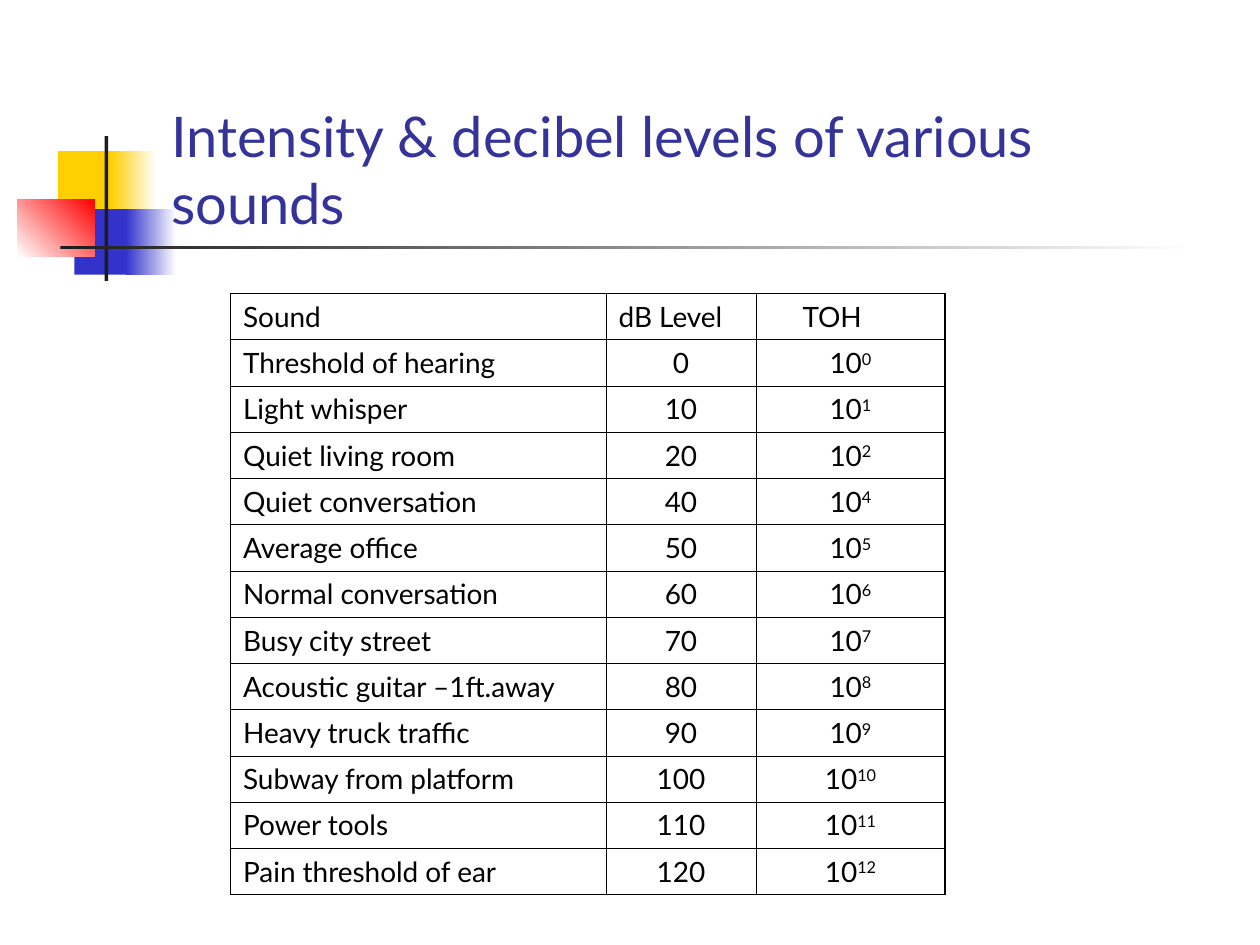
from pptx import Presentation
from pptx.dml.color import RGBColor
from pptx.enum.shapes import MSO_SHAPE as Shape
from pptx.enum.text import MSO_ANCHOR as Anchor, PP_ALIGN as Align
from pptx.oxml import parse_xml
from pptx.oxml.ns import nsdecls
from pptx.util import Inches, Pt

WIDTH, HEIGHT = 10, 7.5
WHITE = RGBColor(0xFF, 0xFF, 0xFF)
BLACK = RGBColor(0x00, 0x00, 0x00)
YELLOW = RGBColor(0xFF, 0xCF, 0x01)
BLUE = RGBColor(0x33, 0x33, 0xCC)
RED = RGBColor(0xFF, 0x00, 0x00)
CHARCOAL = RGBColor(0x1C, 0x1C, 0x1C)
INDIGO = RGBColor(0x33, 0x33, 0x99)
FONT = "Lato"
THIN, THICK = 0.45, 1.08

TITLE = "Intensity & decibel levels of various sounds"
HEADINGS = ("Sound", "dB Level", "TOH")
SOUNDS = (
    ("Threshold of hearing", 0),
    ("Light whisper", 10),
    ("Quiet living room", 20),
    ("Quiet conversation", 40),
    ("Average office", 50),
    ("Normal conversation", 60),
    ("Busy city street", 70),
    ("Acoustic guitar –1ft.away", 80),
    ("Heavy truck traffic", 90),
    ("Subway from platform", 100),
    ("Power tools", 110),
    ("Pain threshold of ear", 120),
)
COLUMNS = (2.98, 1.19, 1.5)
TABLE_LEFT, TABLE_TOP, TABLE_HEIGHT = 1.83, 2.33, 4.77
TOH_INDENT = 0.37


def write(frame, text, *, size=16, color=BLACK, align=Align.LEFT, power=""):
    para = frame.paragraphs[0]
    para.alignment = align
    for part, raised in ((text, False), (power, True)):
        if not part:
            continue
        span = para.add_run()
        span.text = part
        span.font.name = FONT
        span.font.size = Pt(size)
        span.font.color.rgb = color
        if raised:
            span.font._element.set("baseline", "30000")


def add_block(page, left, top, width, height, start, end=None, angle=0):
    block = page.shapes.add_shape(
        Shape.RECTANGLE, *map(Inches, (left, top, width, height)))
    block.shadow.inherit = False
    block.line.fill.background()
    if end is None:
        block.fill.solid()
        block.fill.fore_color.rgb = start
        return
    block.fill.gradient()
    block.fill.gradient_angle = angle
    for stop, color in zip(block.fill.gradient_stops, (start, end)):
        stop.color.rgb = color


def add_ornament(page):
    add_block(page, 0.46, 1.2, 0.48, 0.52, YELLOW)
    add_block(page, 0.88, 1.2, 0.36, 0.52, YELLOW, WHITE)
    add_block(page, 0.59, 1.66, 0.46, 0.52, BLUE)
    add_block(page, 1, 1.66, 0.4, 0.52, BLUE, WHITE)
    add_block(page, 0.14, 1.58, 0.61, 0.46, WHITE, RED, angle=45)
    add_block(page, 0.83, 1.08, 0.03, 1.15, CHARCOAL)
    add_block(page, 0.48, 1.95, 9, 0.03, CHARCOAL, WHITE)


def add_title(page):
    box = page.shapes.add_textbox(*map(Inches, (1.26, 0.67, 8.52, 1.25)))
    box.text_frame.word_wrap = True
    box.text_frame.vertical_anchor = Anchor.BOTTOM
    write(box.text_frame, TITLE, size=32, color=INDIGO)


def set_borders(cell, outer_sides):
    for side in "LRTB":
        width = Pt(THICK if side in outer_sides else THIN)
        cell._tc.get_or_add_tcPr().append(parse_xml(
            f'<a:ln{side} {nsdecls("a")} w="{width}"><a:solidFill>'
            f'<a:srgbClr val="{BLACK}"/></a:solidFill></a:ln{side}>'))


def add_sound_table(page):
    row_count, column_count = len(SOUNDS) + 1, len(COLUMNS)
    table = page.shapes.add_table(
        row_count, column_count, Inches(TABLE_LEFT), Inches(TABLE_TOP),
        Inches(sum(COLUMNS)), Inches(TABLE_HEIGHT)).table
    table.first_row = table.horz_banding = False
    for column, width in zip(table.columns, COLUMNS):
        column.width = Inches(width)
    for row in table.rows:
        row.height = Inches(TABLE_HEIGHT / row_count)

    for r in range(row_count):
        for c in range(column_count):
            edges = {"L": c == 0, "R": c == column_count - 1,
                     "T": r == 0, "B": r == row_count - 1}
            cell = table.cell(r, c)
            set_borders(cell, [side for side, outer in edges.items() if outer])
            cell.fill.background()

    for c, heading in enumerate(HEADINGS):
        write(table.cell(0, c).text_frame, heading)
    table.cell(0, column_count - 1).margin_left = Inches(TOH_INDENT)

    for r, (sound, level) in enumerate(SOUNDS, start=1):
        name, decibels, ratio = (table.cell(r, c).text_frame for c in range(3))
        write(name, sound)
        write(decibels, str(level), align=Align.CENTER)
        write(ratio, "10", align=Align.CENTER, power=str(level // 10))


def main():
    deck = Presentation()
    deck.slide_width, deck.slide_height = Inches(WIDTH), Inches(HEIGHT)
    page = deck.slides.add_slide(deck.slide_layouts[6])
    add_ornament(page)
    add_title(page)
    add_sound_table(page)
    deck.save("out.pptx")


if __name__ == "__main__":
    main()
